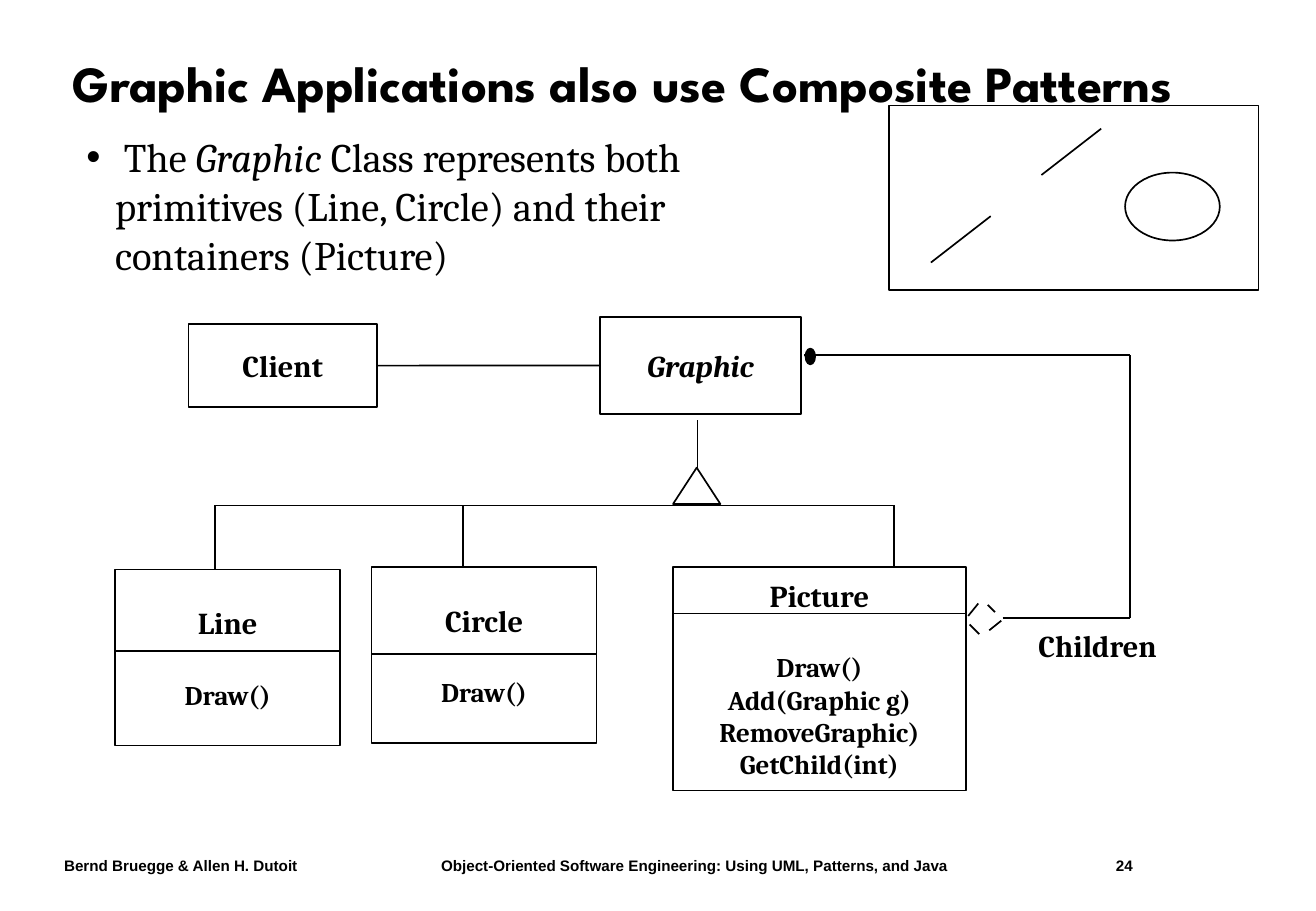
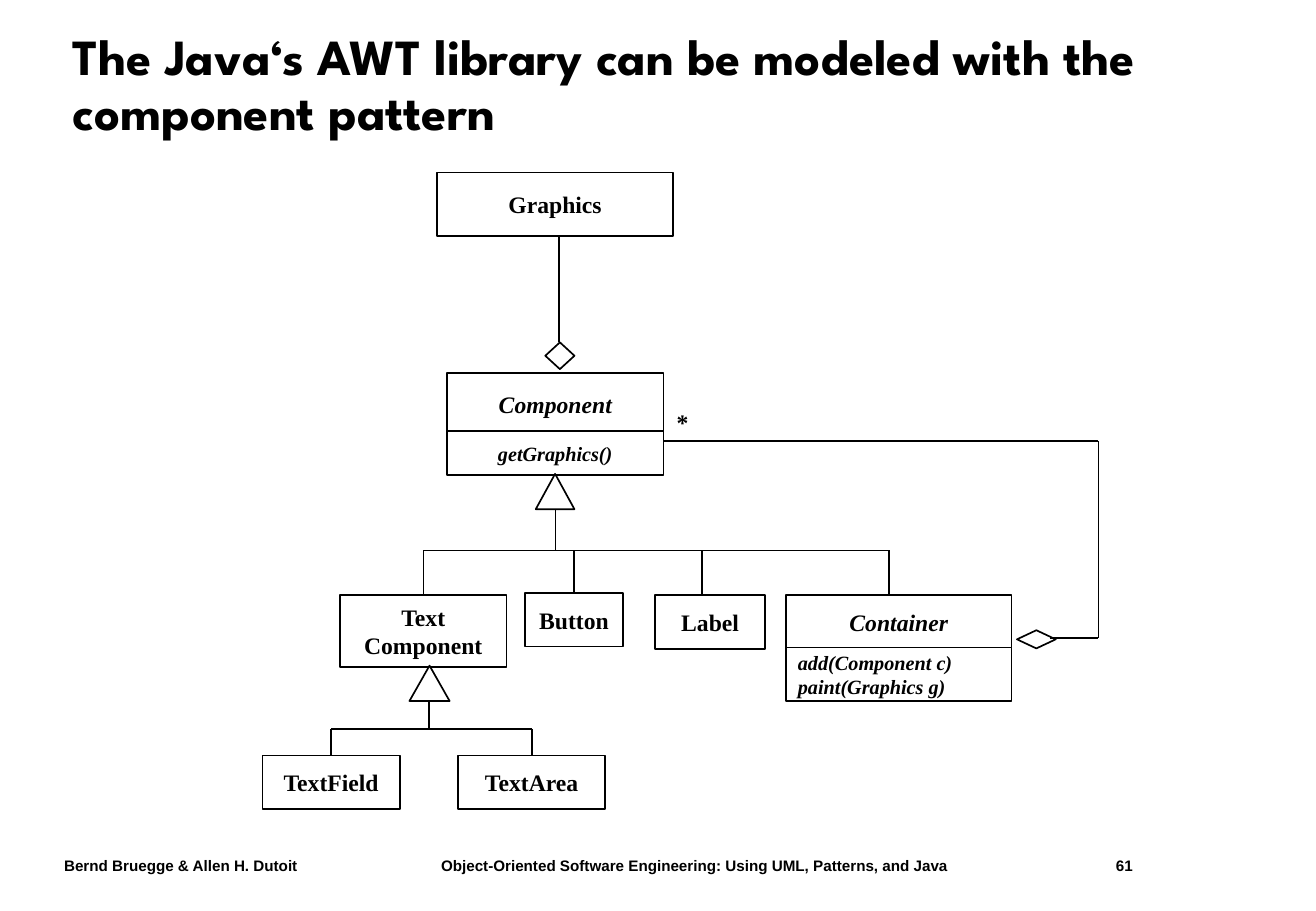
from itertools import pairwise

from lxml.etree import SubElement
from pptx import Presentation
from pptx.dml.color import RGBColor
from pptx.enum.shapes import MSO_CONNECTOR as Link, MSO_SHAPE as Shape
from pptx.enum.text import MSO_ANCHOR as Anchor, MSO_AUTO_SIZE as Fit, PP_ALIGN as Align
from pptx.oxml.ns import qn
from pptx.util import Cm, Pt

# Shared style
INK, PAPER = "000000", "FFFFFF"
TITLE_FONT, FOOTER_FONT = "League Spartan", "Arial"
CAMBRIA, TIMES = "Cambria", "Times New Roman"
LINE_WIDTH = Pt(1)
TOP, RIGHT = 0, 3
JOIN_REACH = Cm(0.12)
FOOTER_TOP, FOOTER_HEIGHT = 17.78, 0.64
AUTHORS = "Bernd Bruegge & Allen H. Dutoit"
BOOK = "Object-Oriented Software Engineering: Using UML, Patterns, and Java"


def color(hex_code):
    return RGBColor.from_string(hex_code)


# Text
def add_text(frame, *lines, font=CAMBRIA, size=18, bold=True, italic=False,
             align=Align.CENTER, before=0, same_line=False):
    """Append lines to a frame, or a run to its last paragraph."""
    for line in lines:
        reuse = same_line or not frame.text
        paragraph = frame.paragraphs[-1] if reuse else frame.add_paragraph()
        if not same_line:
            paragraph.alignment = align
            paragraph.space_before = Pt(before)
        run = paragraph.add_run()
        run.text = line
        run.font.name, run.font.size = font, Pt(size)
        run.font.bold, run.font.italic = bold, italic
        run.font.color.rgb = color(INK)
        before = 0


def place(placeholder, left, top, width, height, anchor):
    placeholder.left, placeholder.top = Cm(left), Cm(top)
    placeholder.width, placeholder.height = Cm(width), Cm(height)
    frame = placeholder.text_frame
    frame.auto_size, frame.vertical_anchor = Fit.NONE, anchor
    return frame


def label(slide, text, left, top, width, height, wrap=False, **style):
    frame = slide.shapes.add_textbox(Cm(left), Cm(top), Cm(width), Cm(height)).text_frame
    frame.word_wrap = wrap
    add_text(frame, text, **style)


# Shapes and lines
def outline(slide, kind, left, top, width, height, fill=PAPER):
    shape = slide.shapes.add_shape(kind, Cm(left), Cm(top), Cm(width), Cm(height))
    shape.shadow.inherit = False
    if fill:
        shape.fill.solid()
        shape.fill.fore_color.rgb = color(fill)
    else:
        shape.fill.background()
    shape.line.color.rgb = color(INK)
    shape.line.width = LINE_WIDTH
    return shape


def box(slide, left, top, width, height, *lines, **style):
    shape = outline(slide, Shape.RECTANGLE, left, top, width, height)
    shape.text_frame.word_wrap = False
    shape.text_frame.vertical_anchor = Anchor.MIDDLE
    add_text(shape.text_frame, *lines, **style)
    return shape


def class_box(slide, left, top, width, height, name, divider, *methods):
    shape = box(slide, left, top, width, height, name)
    add_text(shape.text_frame, *methods, size=16, before=22)
    route(slide, (left, divider), (left + width, divider))
    return shape


def connector(slide, x1, y1, x2, y2):
    line = slide.shapes.add_connector(Link.STRAIGHT, x1, y1, x2, y2)
    line.line.color.rgb = color(INK)
    line.line.width = LINE_WIDTH
    SubElement(line._element.spPr, qn("a:effectLst"))
    return line


def route(slide, *points):
    for start, end in pairwise(points):
        connector(slide, *map(Cm, start + end))


def tree(slide, y, *branches):
    """Draw a bus with a drop to each (x, child), joined where x is the child's middle."""
    bus_y, drops = Cm(y), []
    for x, child in branches:
        middle = child.left + child.width // 2
        joined = abs(middle - Cm(x)) < JOIN_REACH
        drop_x = middle if joined else Cm(x)
        drop = connector(slide, drop_x, bus_y, drop_x, child.top)
        if joined:
            drop.end_connect(child, TOP)
        drops.append(drop_x)
    connector(slide, min(drops), bus_y, max(drops), bus_y)


# Slide frame
def new_slide(deck, layout, title, number):
    slide = deck.slides.add_slide(deck.slide_layouts[layout])
    frame = place(slide.shapes.title, 1.27, 0.61, 24.54, 2.39, Anchor.MIDDLE)
    add_text(frame, title, font=TITLE_FONT, size=30, align=Align.LEFT)
    frame.paragraphs[0].line_spacing = 0.9
    for text, left, width in ((AUTHORS, 1.09, 7), (BOOK, 8.97, 13), (str(number), 23.08, 2)):
        label(slide, text, left, FOOTER_TOP, width, FOOTER_HEIGHT, wrap=True,
              font=FOOTER_FONT, size=9, align=Align.LEFT)
    return slide


def graphic_slide(deck):
    slide = new_slide(deck, 1, "Graphic Applications also use Composite Patterns", 24)

    # Statement
    statement = place(slide.placeholders[1], 1.55, 2.64, 13.67, 3.3, Anchor.TOP)
    plain = dict(size=24, bold=False, align=Align.LEFT)
    add_text(statement, " The ", **plain)
    add_text(statement, "Graphic", italic=True, same_line=True, **plain)
    add_text(statement, " Class represents both primitives (Line, Circle) "
             "and their containers (Picture)", same_line=True, **plain)
    indent = statement.paragraphs[0]._p.get_or_add_pPr()
    indent.set("marL", str(Cm(0.6)))
    indent.set("indent", str(-Cm(0.6)))

    # Sample drawing
    outline(slide, Shape.RECTANGLE, 18.59, 2.21, 7.72, 3.86, fill=None)
    outline(slide, Shape.OVAL, 23.52, 3.61, 1.98, 1.42)
    for x, y in ((21.77, 3.66), (19.46, 5.49)):
        route(slide, (x, y), (x + 1.25, y - 0.97))

    # Client and abstract class
    client = box(slide, 3.94, 6.78, 3.94, 1.73, "Client")
    graphic = box(slide, 12.55, 6.63, 4.19, 2.03, "Graphic", italic=True)
    use = connector(slide, 0, 0, 0, 0)
    use.begin_connect(client, RIGHT)
    use.end_connect(graphic, 1)

    # Subclasses
    line = class_box(slide, 2.41, 11.91, 4.7, 3.68, "Line", 13.61, "Draw()")
    circle = class_box(slide, 7.77, 11.86, 4.7, 3.68, "Circle", 13.67, "Draw()")
    picture = class_box(slide, 14.07, 11.86, 6.12, 4.67, "Picture", 12.83,
                        "Draw()", "Add(Graphic g)", "RemoveGraphic)", "GetChild(int)")
    route(slide, (14.58, 8.79), (14.58, 9.83))
    outline(slide, Shape.ISOSCELES_TRIANGLE, 14.07, 9.78, 0.99, 0.76)
    tree(slide, 10.57, (4.5, line), (9.68, circle), (18.69, picture))

    # Children aggregation
    route(slide, (20.96, 12.93), (23.62, 12.93), (23.62, 7.42), (16.81, 7.42))
    outline(slide, Shape.OVAL, 16.84, 7.29, 0.2, 0.33, fill=INK)
    for start, end in (((20.24, 12.88), (20.45, 12.62)), ((20.65, 12.65), (20.8, 12.8)),
                       ((20.93, 12.98), (20.68, 13.18)), ((20.47, 13.26), (20.27, 13.06))):
        route(slide, start, end)
    label(slide, "Children", 21.46, 13, 3.12, 1.02, align=Align.LEFT)


def awt_slide(deck):
    slide = new_slide(deck, 5, "The Java‘s AWT library can be modeled "
                      "with the component pattern", 61)
    name = dict(font=TIMES, size=14)
    abstract = dict(name, italic=True)
    method = dict(abstract, size=12)

    # Graphics and component
    box(slide, 9.14, 3.61, 4.93, 1.32, "Graphics", **name)
    box(slide, 9.35, 7.8, 4.52, 1.32, "Component", **abstract)
    box(slide, 9.35, 9.02, 4.52, 0.91, "getGraphics()", **method)
    route(slide, (11.68, 7.16), (11.68, 4.95))
    outline(slide, Shape.FLOWCHART_DECISION, 11.4, 7.16, 0.61, 0.56)

    # Component subclasses
    text_component = box(slide, 7.11, 12.45, 3.48, 1.5, "Text", "Component", **name)
    button = box(slide, 10.97, 12.4, 2.06, 1.12, "Button", **name)
    label_box = box(slide, 13.69, 12.45, 2.31, 1.12, "Label", **name)
    container = box(slide, 16.43, 12.45, 4.72, 1.12, "Container", **abstract)
    box(slide, 16.43, 13.54, 4.72, 1.12, "add(Component c)", "paint(Graphics g)",
        align=Align.LEFT, **method)
    outline(slide, Shape.FLOWCHART_EXTRACT, 11.2, 9.91, 0.81, 0.74)
    route(slide, (11.61, 10.65), (11.61, 11.51))
    tree(slide, 11.51, (8.74, text_component), (12.01, button),
         (14.68, label_box), (18.59, container))

    # Text component subclasses
    text_field = box(slide, 5.49, 15.8, 2.87, 1.12, "TextField", **name)
    text_area = box(slide, 9.58, 15.8, 3.07, 1.12, "TextArea", **name)
    outline(slide, Shape.FLOWCHART_EXTRACT, 8.56, 13.92, 0.84, 0.74)
    route(slide, (8.97, 14.66), (8.97, 15.24))
    tree(slide, 15.24, (6.91, text_field), (11.02, text_area))

    # Container aggregation
    outline(slide, Shape.FLOWCHART_DECISION, 21.26, 13.18, 0.81, 0.38)
    route(slide, (21.95, 13.34), (22.96, 13.34), (22.96, 9.22), (13.87, 9.22))
    label(slide, "*", 13.89, 8.41, 0.76, 0.86, **name)


def main():
    deck = Presentation()
    deck.slide_width, deck.slide_height = Cm(27.51), Cm(19.05)
    graphic_slide(deck)
    awt_slide(deck)
    deck.save("out.pptx")


if __name__ == "__main__":
    main()
